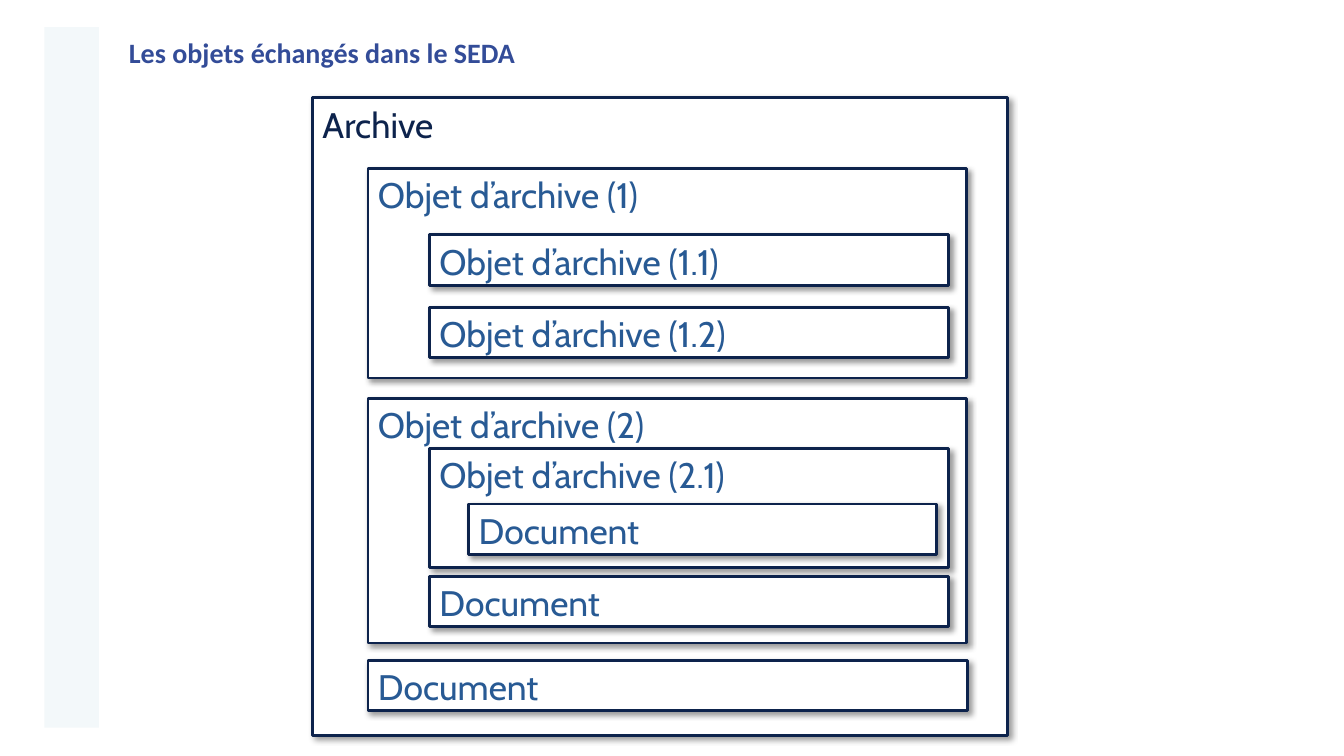
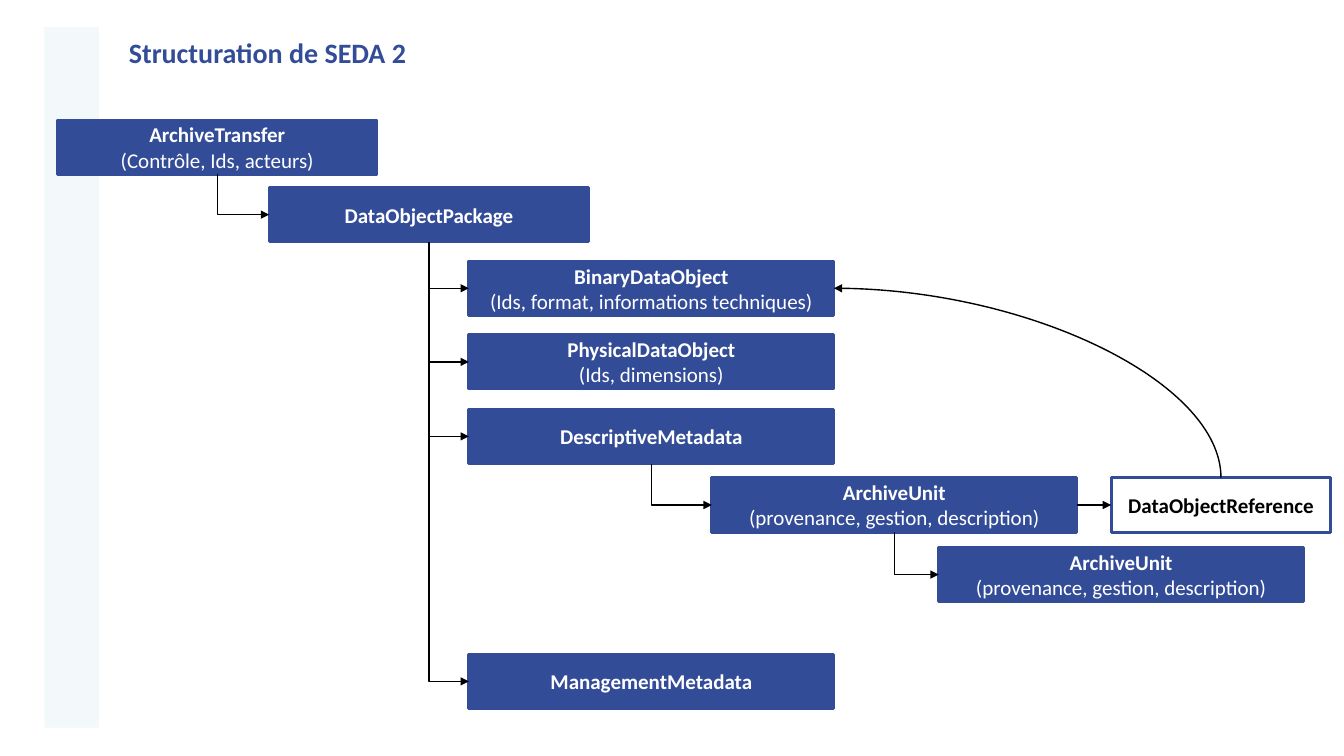
from dataclasses import dataclass

from lxml.etree import SubElement
from pptx import Presentation
from pptx.dml.color import RGBColor
from pptx.enum.shapes import MSO_CONNECTOR as Link, MSO_SHAPE as Preset
from pptx.enum.text import MSO_ANCHOR as Anchor, MSO_AUTO_SIZE as AutoSize, PP_ALIGN as Align
from pptx.oxml.ns import qn
from pptx.presentation import Presentation as Deck
from pptx.shapes.autoshape import Shape
from pptx.shapes.connector import Connector
from pptx.slide import Slide
from pptx.text.text import _Paragraph as Paragraph
from pptx.util import Inches, Pt

WHITE, BLACK = "FFFFFF", "000000"
BLUE, NAVY, STEEL, PALE = "334C98", "0D234C", "285A94", "F3F8FA"
TITLE_FONT, NESTED_FONT = "Calibri", "Cabin"
TOP, LEFT, BOTTOM, RIGHT = range(4)
ROW_HEIGHT = 0.5
NODE_HEIGHT = 0.54
NARROW, WIDE = 3.17, 3.62


@dataclass(frozen=True)
class Frame:
    label: str
    left: float
    top: float
    width: float
    height: float = ROW_HEIGHT
    color: str = STEEL


@dataclass(frozen=True)
class Node:
    key: str
    name: str
    left: float
    top: float
    width: float = WIDE
    detail: str = ""
    fill: str = BLUE
    color: str = WHITE


@dataclass(frozen=True)
class Arrow:
    source: str
    target: str
    start: int = BOTTOM
    end: int = LEFT
    kind: Link = Link.ELBOW


FRAMES = [
    Frame("Archive", 3.1, 0.97, 6.89, 6.33, NAVY),
    Frame("Objet d’archive (1)", 3.65, 1.67, 5.94, 2.08),
    Frame("Objet d’archive (1.1)", 4.26, 2.33, 5.15),
    Frame("Objet d’archive (1.2)", 4.26, 3.05, 5.15),
    Frame("Objet d’archive (2)", 3.65, 3.95, 5.94, 2.43),
    Frame("Objet d’archive (2.1)", 4.26, 4.45, 5.15, 1.18),
    Frame("Document", 4.26, 5.72, 5.15),
    Frame("Document", 4.65, 5, 4.64),
    Frame("Document", 3.65, 6.55, 5.95),
]

UNIT_DETAIL = "(provenance, gestion, description)"
NODES = [
    Node("transfer", "ArchiveTransfer", 0.57, 1.19, NARROW, "(Contrôle, Ids, acteurs)"),
    Node("package", "DataObjectPackage", 2.67, 1.86, NARROW),
    Node("binary", "BinaryDataObject", 4.65, 2.59, detail="(Ids, format, informations techniques)"),
    Node("physical", "PhysicalDataObject", 4.65, 3.32, detail="(Ids, dimensions)"),
    Node("descriptive", "DescriptiveMetadata", 4.65, 4.06),
    Node("management", "ManagementMetadata", 4.65, 6.49),
    Node("unit", "ArchiveUnit", 7.06, 4.74, detail=UNIT_DETAIL),
    Node("subunit", "ArchiveUnit", 9.31, 5.43, detail=UNIT_DETAIL),
    Node("reference", "DataObjectReference", 11.02, 4.74, 2.18, fill=WHITE, color=BLACK),
]

ARROWS = [
    Arrow("transfer", "package"),
    Arrow("package", "binary"),
    Arrow("package", "physical"),
    Arrow("package", "descriptive"),
    Arrow("package", "management"),
    Arrow("descriptive", "unit"),
    Arrow("unit", "subunit"),
    Arrow("unit", "reference", RIGHT, LEFT, Link.STRAIGHT),
    Arrow("reference", "binary", TOP, RIGHT, Link.CURVE),
]

CORNER_PRESETS = {Link.ELBOW: "bentConnector2", Link.CURVE: "curvedConnector2"}


def rgb(value: str) -> RGBColor:
    return RGBColor.from_string(value)


def style_text(para: Paragraph, text: str, font: str, size: float, color: str,
               bold: bool = False, align: Align = Align.LEFT) -> None:
    para.text = text
    para.alignment = align
    para.font.name = font
    para.font.size = Pt(size)
    para.font.bold = bold
    para.font.color.rgb = rgb(color)


def add_box(page: Slide, left: float, top: float, width: float, height: float,
            fill: str, line: str = "") -> Shape:
    box = page.shapes.add_shape(
        Preset.RECTANGLE, Inches(left), Inches(top), Inches(width), Inches(height))
    box.shadow.inherit = False
    box.fill.solid()
    box.fill.fore_color.rgb = rgb(fill)
    if line:
        box.line.color.rgb = rgb(line)
        box.line.width = Pt(2)
    else:
        box.line.fill.background()
    return box


def add_shadow(box: Shape) -> None:
    effects = box.element.spPr.find(qn("a:effectLst"))
    shadow = SubElement(effects, qn("a:outerShdw"), blurRad=str(Pt(4)), dist=str(Pt(3)),
                        dir="2700000", algn="tl", rotWithShape="0")
    color = SubElement(shadow, qn("a:srgbClr"), val=BLACK)
    SubElement(color, qn("a:alpha"), val="40000")


def add_page(deck: Deck, title: str) -> Slide:
    page = deck.slides.add_slide(deck.slide_layouts[6])
    add_box(page, 0.44, 0.27, 0.54, 6.95, PALE)
    box = page.shapes.add_textbox(Inches(1.18), Inches(0.3), Inches(11.77), Inches(0.43))
    box.text_frame.word_wrap = True
    box.text_frame.auto_size = AutoSize.SHAPE_TO_FIT_TEXT
    style_text(box.text_frame.paragraphs[0], title, TITLE_FONT, 20, BLUE, bold=True)
    return page


def add_frame(page: Slide, frame: Frame) -> None:
    box = add_box(page, frame.left, frame.top, frame.width, frame.height, WHITE, NAVY)
    add_shadow(box)
    box.text_frame.vertical_anchor = Anchor.TOP
    style_text(box.text_frame.paragraphs[0], frame.label, NESTED_FONT, 25.3, frame.color)


def add_node(page: Slide, node: Node) -> Shape:
    box = add_box(page, node.left, node.top, node.width, NODE_HEIGHT, node.fill, BLUE)
    text = box.text_frame
    text.vertical_anchor = Anchor.MIDDLE
    style_text(text.paragraphs[0], node.name, TITLE_FONT, 15, node.color, True, Align.CENTER)
    if node.detail:
        style_text(text.add_paragraph(), node.detail, TITLE_FONT, 15, node.color,
                   align=Align.CENTER)
    return box


def turn_corner(connector: Connector, preset: str) -> None:
    flip = "flipH" if connector.end_x > connector.begin_x else "flipV"
    center_x = connector.left + connector.width // 2
    center_y = connector.top + connector.height // 2
    width, height = connector.height, connector.width
    connector.left, connector.top = center_x - width // 2, center_y - height // 2
    connector.width, connector.height = width, height
    frame = connector.element.spPr.find(qn("a:xfrm"))
    for name in ("flipH", "flipV"):
        frame.attrib.pop(name, None)
    frame.set("rot", "16200000")
    frame.set(flip, "1")
    connector.element.spPr.find(qn("a:prstGeom")).set("prst", preset)


def add_arrow(page: Slide, arrow: Arrow, boxes: dict[str, Shape]) -> None:
    connector = page.shapes.add_connector(arrow.kind, 0, 0, 0, 0)
    connector.begin_connect(boxes[arrow.source], arrow.start)
    connector.end_connect(boxes[arrow.target], arrow.end)
    if arrow.kind in CORNER_PRESETS:
        turn_corner(connector, CORNER_PRESETS[arrow.kind])
    connector.line.color.rgb = rgb(BLACK)
    connector.line.width = Pt(1)
    properties = connector.element.spPr
    SubElement(properties.find(qn("a:ln")), qn("a:tailEnd"), type="triangle")
    SubElement(properties, qn("a:effectLst"))


def main() -> None:
    deck = Presentation()
    deck.slide_width, deck.slide_height = Inches(13.33), Inches(7.5)

    page = add_page(deck, "Les objets échangés dans le SEDA")
    for frame in FRAMES:
        add_frame(page, frame)

    page = add_page(deck, "Structuration de SEDA 2")
    boxes = {node.key: add_node(page, node) for node in NODES}
    for arrow in ARROWS:
        add_arrow(page, arrow, boxes)

    deck.save("out.pptx")


if __name__ == "__main__":
    main()
